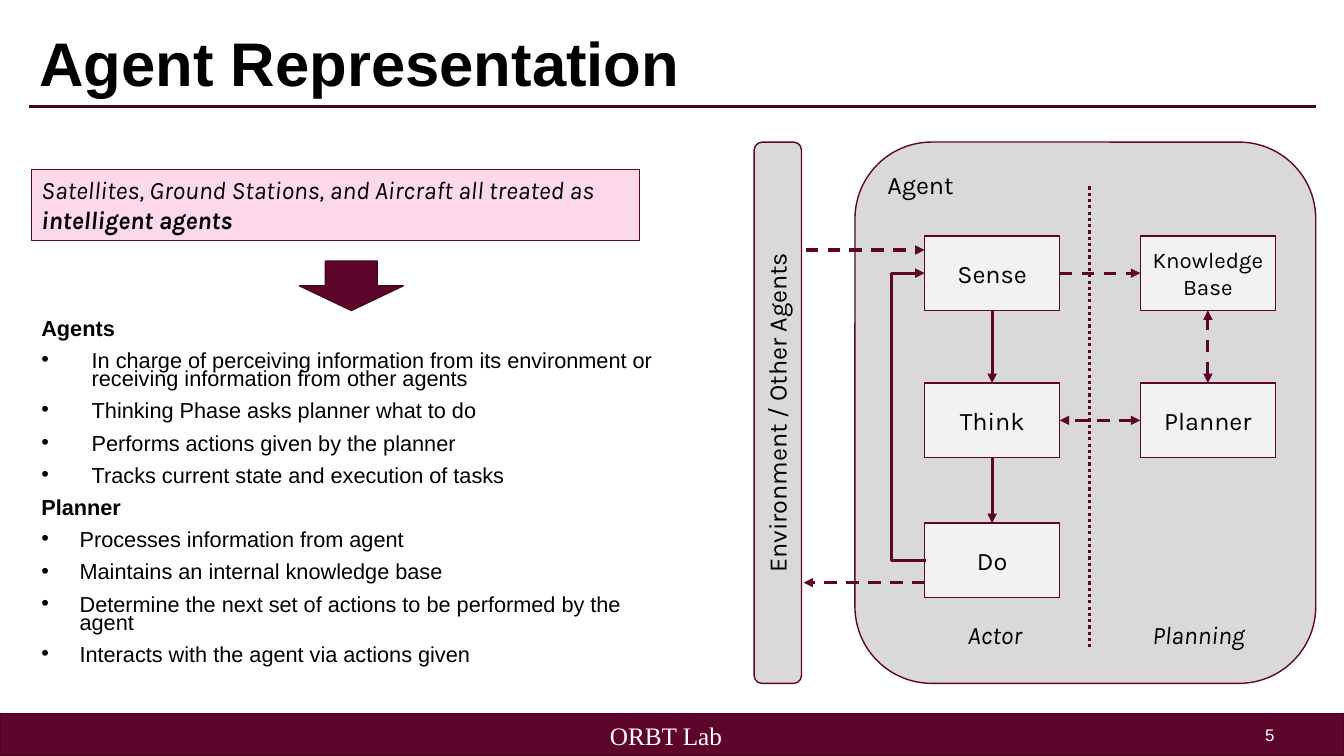
from lxml import etree
from pptx import Presentation
from pptx.dml.color import RGBColor
from pptx.enum import dml, shapes, text
from pptx.oxml.ns import qn
from pptx.util import Inches, Pt

# Content
TITLE = "Agent Representation"
FOOTER, PAGE = "ORBT Lab", "5"
CLAIM = ("Satellites, Ground Stations, and Aircraft all treated as ", "intelligent agents")
SECTIONS = [
    ("Agents", 0.5, [
        "In charge of perceiving information from its environment or receiving information from other agents",
        "Thinking Phase asks planner what to do",
        "Performs actions given by the planner",
        "Tracks current state and execution of tasks",
    ]),
    ("Planner", 0.38, [
        "Processes information from agent",
        "Maintains an internal knowledge base",
        "Determine the next set of actions to be performed by the agent",
        "Interacts with the agent via actions given",
    ]),
]
# name: (column, row, text size)
BOXES = {
    "Sense": (0, 0, 18), "Think": (0, 1, 18), "Do": (0, 2, 18),
    "Knowledge Base": (1, 0, 16), "Planner": (1, 1, 18),
}
# from, side, to, side, dashed, two-way (0 top, 1 left, 2 bottom, 3 right)
LINKS = [
    ("Sense", 2, "Think", 0, False, False),
    ("Think", 2, "Do", 0, False, False),
    ("Planner", 1, "Think", 3, True, True),
    ("Planner", 0, "Knowledge Base", 2, True, True),
    ("Sense", 3, "Knowledge Base", 1, True, False),
]
LANES = [("Actor", 9.5, 1.0), ("Planning", 11.33, 1.15)]

# Grid, in inches
WIDTH, HEIGHT = 13.33, 7.5
LEFT, RIGHT = 0.29, 13.05
COLUMNS, ROWS = (9.17, 11.31), (2.34, 3.8, 5.19)
BOX_WIDTH, BOX_HEIGHT = 1.34, 0.74
PANEL_TOP, PANEL_HEIGHT = 1.41, 5.37
ENVIRONMENT_LEFT, ENVIRONMENT_WIDTH = 7.48, 0.47
BAND_TOP = 7.08
LOOP_LEFT = 8.84

MAROON = RGBColor(0x5E, 0x05, 0x2B)
DARK_MAROON = RGBColor(0x46, 0x04, 0x20)
PINK = RGBColor(0xFD, 0xD8, 0xE8)
GREY = RGBColor(0xD9, 0xD9, 0xD9)
PALE = RGBColor(0xF2, 0xF2, 0xF2)
BLACK = RGBColor(0, 0, 0)
WHITE = RGBColor(255, 255, 255)

SHAPE, ALIGN, ANCHOR = shapes.MSO_SHAPE, text.PP_ALIGN, text.MSO_ANCHOR
DASH = dml.MSO_LINE.DASH

presentation = Presentation()
presentation.slide_width, presentation.slide_height = Inches(WIDTH), Inches(HEIGHT)
slide = presentation.slides.add_slide(presentation.slide_layouts[1])


def place(shape, *area):
    shape.left, shape.top, shape.width, shape.height = map(Inches, area)


def style(font, size, name="Karla", color=BLACK, bold=False, italic=False):
    font.size, font.name, font.bold, font.italic = Pt(size), name, bold, italic
    font.color.rgb = color


def write(shape, words, size=18, align=ALIGN.LEFT, anchor=ANCHOR.TOP, **look):
    frame = shape.text_frame
    frame.word_wrap, frame.vertical_anchor = True, anchor
    paragraph = frame.paragraphs[0]
    paragraph.text, paragraph.alignment = words, align
    style(paragraph.font, size, **look)
    return paragraph


def add_box(kind, area, fill, line=MAROON, weight=1):
    shape = slide.shapes.add_shape(kind, *map(Inches, area))
    shape.shadow.inherit = False
    shape.fill.solid()
    shape.fill.fore_color.rgb = fill
    shape.line.color.rgb, shape.line.width = line, Pt(weight)
    return shape


def add_label(area, words, **look):
    write(slide.shapes.add_textbox(*map(Inches, area)), words, **look)


def add_line(start=(0, 0), end=(0, 0), dash=None, arrows=("tailEnd",), color=MAROON,
             kind=shapes.MSO_CONNECTOR.STRAIGHT):
    connector = slide.shapes.add_connector(kind, *map(Inches, (*start, *end)))
    connector.line.color.rgb, connector.line.width = color, Pt(2.25)
    if dash:
        connector.line.dash_style = dash
    line = connector.line._get_or_add_ln()
    for arrow in arrows:
        etree.SubElement(line, qn("a:" + arrow), type="triangle")
    etree.SubElement(connector._element.spPr, qn("a:effectLst"))
    return connector


def set_bullet(paragraph, indent):
    properties = paragraph._p.get_or_add_pPr()
    properties.set("marL", str(Inches(indent)))
    properties.set("indent", str(-Inches(indent)))
    if indent:
        etree.SubElement(properties, qn("a:buFont"), typeface="Arial")
        etree.SubElement(properties, qn("a:buChar"), char="•")
    else:
        etree.SubElement(properties, qn("a:buNone"))


# Footer band and title rule
add_box(SHAPE.RECTANGLE, (0, BAND_TOP, WIDTH, HEIGHT - BAND_TOP), MAROON, DARK_MAROON)
add_label((2.9, 7.1, 7.41, 0.4), FOOTER, align=ALIGN.CENTER, name="Times New Roman", color=WHITE)
add_label((9.31, 7.09, 3.43, 0.4), PAGE, size=12, align=ALIGN.RIGHT, anchor=ANCHOR.MIDDLE,
          name="Arial", color=WHITE)
add_line((LEFT, 1.06), (RIGHT, 1.06), arrows=(), color=DARK_MAROON)

# Title
title = slide.shapes.title
place(title, LEFT, 0.26, RIGHT - LEFT, 0.8)
write(title, TITLE, size=44, anchor=ANCHOR.MIDDLE, name="Arial", bold=True).line_spacing = 0.9
title.text_frame.auto_size = text.MSO_AUTO_SIZE.NONE

# Bulleted sections
body = slide.placeholders[1]
place(body, 0.31, 3.14, 6.34, 3.84)
frame = body.text_frame
frame.auto_size, frame.vertical_anchor = text.MSO_AUTO_SIZE.NONE, ANCHOR.TOP
lines = []
for heading, indent, points in SECTIONS:
    lines += [(heading, 0)] + [(point, indent) for point in points]
for index, (words, indent) in enumerate(lines):
    paragraph = frame.add_paragraph() if index else frame.paragraphs[0]
    paragraph.text = words
    paragraph.line_spacing, paragraph.space_before = 0.7, Pt(10)
    style(paragraph.font, 15.5, name="Arial", bold=not indent)
    set_bullet(paragraph, indent)

# Claim and arrow down to the sections
claim = add_box(SHAPE.RECTANGLE, (0.31, 1.68, 6.03, 0.71), PINK, weight=0.75)
emphasis = write(claim, CLAIM[0], italic=True).add_run()
emphasis.text, emphasis.font.bold = CLAIM[1], True
add_box(SHAPE.DOWN_ARROW, (2.97, 2.59, 1.03, 0.49), MAROON, DARK_MAROON)

# Agent panel and environment bar, the bar turned on its side
agent = add_box(SHAPE.ROUNDED_RECTANGLE, (8.48, PANEL_TOP, RIGHT - 8.48, PANEL_HEIGHT), GREY)
write(agent, "Agent")
turn = (PANEL_HEIGHT - ENVIRONMENT_WIDTH) / 2
environment = add_box(SHAPE.ROUNDED_RECTANGLE, (
    ENVIRONMENT_LEFT - turn, PANEL_TOP + turn, PANEL_HEIGHT, ENVIRONMENT_WIDTH), GREY)
environment.rotation = 270
write(environment, "Environment / Other Agents", align=ALIGN.CENTER)

# Boxes and the links between them
boxes = {}
for name, (column, row, size) in BOXES.items():
    boxes[name] = add_box(SHAPE.RECTANGLE, (COLUMNS[column], ROWS[row], BOX_WIDTH, BOX_HEIGHT), PALE)
    write(boxes[name], name, size=size, align=ALIGN.CENTER, anchor=ANCHOR.MIDDLE)
for source, source_side, target, target_side, dashed, two_way in LINKS:
    link = add_line(dash=DASH if dashed else None,
                    arrows=("headEnd", "tailEnd") if two_way else ("tailEnd",))
    link.begin_connect(boxes[source], source_side)
    link.end_connect(boxes[target], target_side)

# Loop from Do back to Sense
edge, step = COLUMNS[0], 0.01
loop = add_line((edge + step, ROWS[2] + BOX_HEIGHT / 2), (edge, ROWS[0] + BOX_HEIGHT / 2),
                kind=shapes.MSO_CONNECTOR.ELBOW)
bend = round((edge + step - LOOP_LEFT) / step * 100000)
guides = loop._element.spPr.find(qn("a:prstGeom")).get_or_add_avLst()
etree.SubElement(guides, qn("a:gd"), name="adj1", fmla=f"val {bend}")

# Exchange with the environment, and the two lanes
add_line((edge, 5.78), (7.97, 5.78), DASH)
add_line((7.99, 2.48), (edge, 2.48), DASH)
add_line((10.81, 1.85), (10.81, 6.44), dml.MSO_LINE.ROUND_DOT, arrows=())
for lane, left, width in LANES:
    add_label((left, 6.09, width, 0.4), lane, italic=True)

presentation.save("out.pptx")
